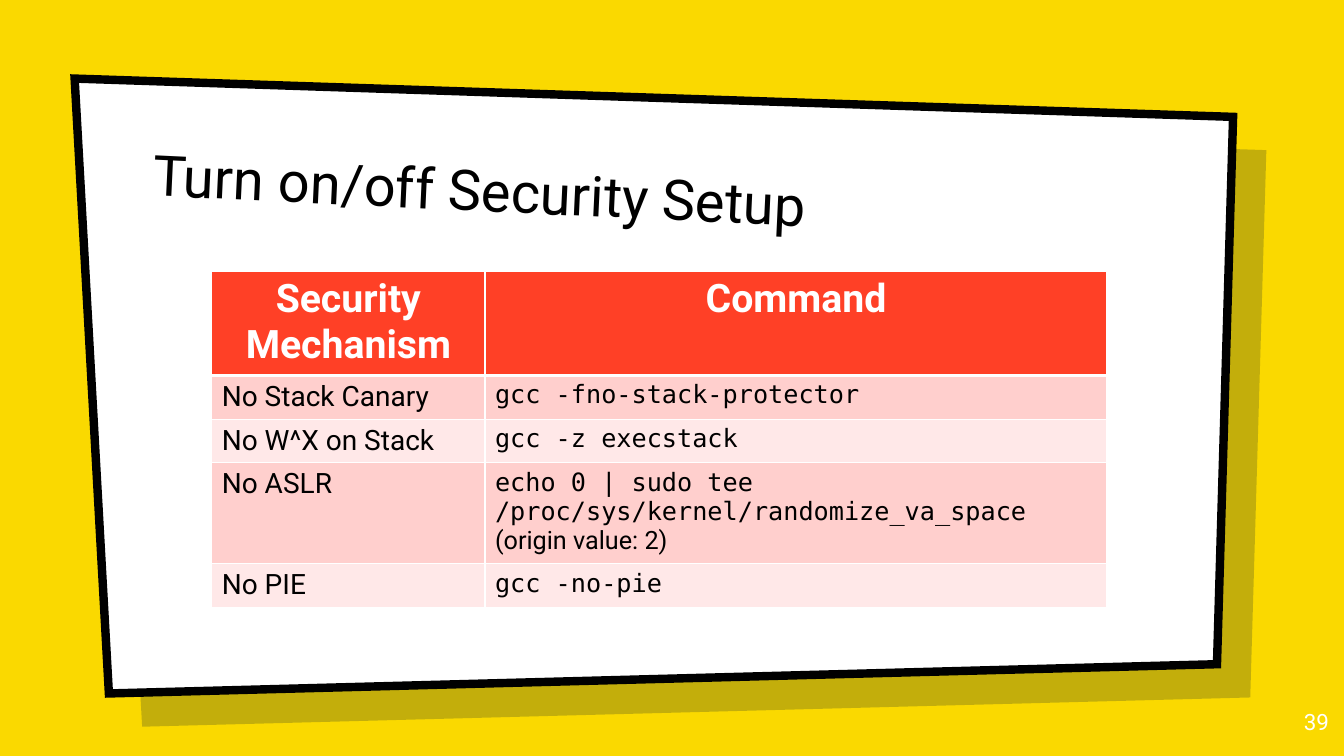
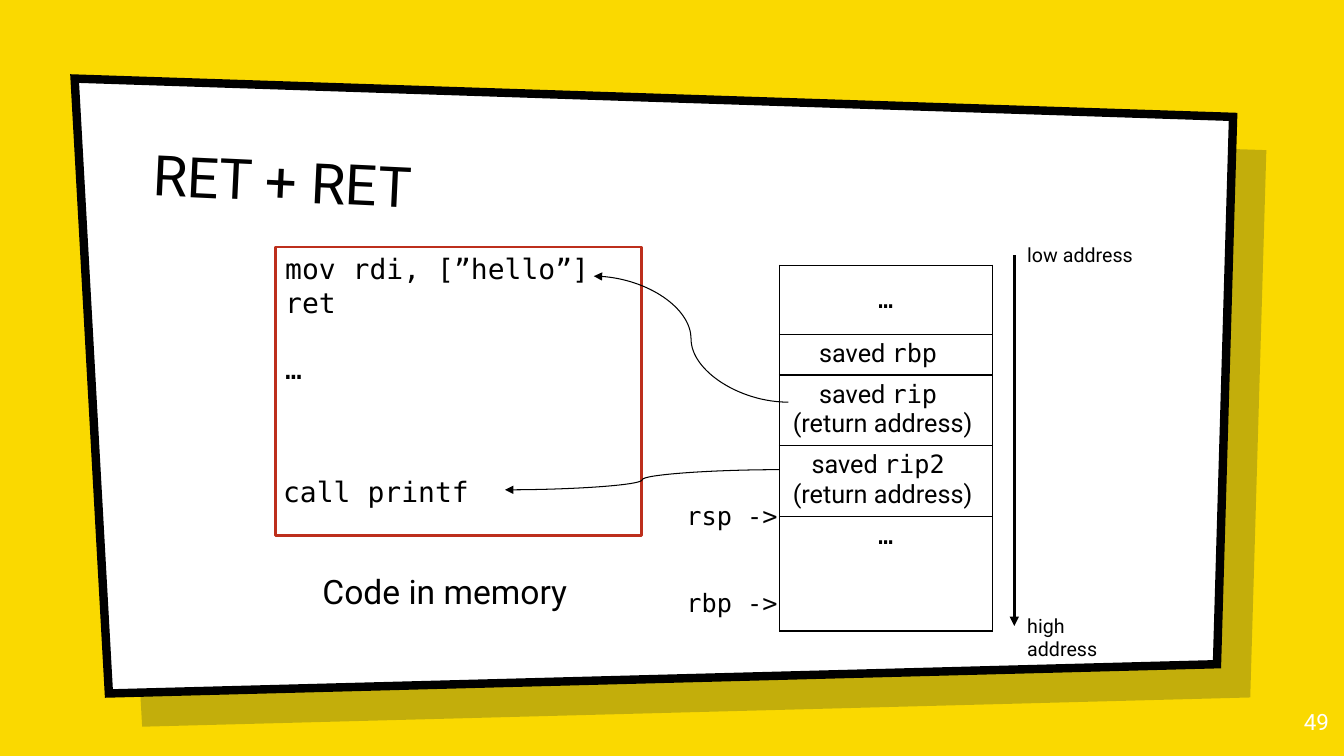
from dataclasses import dataclass

from lxml import etree
from pptx import Presentation
from pptx.dml.color import RGBColor
from pptx.enum.shapes import MSO_CONNECTOR, MSO_SHAPE
from pptx.enum.text import MSO_ANCHOR, PP_ALIGN
from pptx.oxml.ns import qn
from pptx.util import Pt

PX = 9144  # EMU per px, 100 px to the inch
LEFT, CENTER, RIGHT = PP_ALIGN.LEFT, PP_ALIGN.CENTER, PP_ALIGN.RIGHT
TOP, MIDDLE, BOTTOM = MSO_ANCHOR.TOP, MSO_ANCHOR.MIDDLE, MSO_ANCHOR.BOTTOM
STRAIGHT, CURVE = MSO_CONNECTOR.STRAIGHT, MSO_CONNECTOR.CURVE
RECTANGLE = MSO_SHAPE.RECTANGLE


@dataclass(frozen=True)
class Theme:
    sans: str = "Roboto"
    mono: str = "DejaVu Sans Mono"
    yellow: str = "FAD900"
    navy: str = "001936"
    white: str = "FFFFFF"
    black: str = "000000"
    header: str = "FF4026"
    bands: tuple = ("FFCFCD", "FFE8E8")
    frame: str = "BD2F1C"
    title_size: int = 40
    header_size: int = 28
    caption_size: int = 24
    body_size: int = 20
    code_size: int = 18
    number_size: int = 16
    label_size: int = 14


THEME = Theme()
PANEL = ((74, 78), (1223, 116), (1207, 659), (108, 688))
SHADOW_OFFSET = 33


def px(*lengths):
    return [round(length * PX) for length in lengths]


def rgb(color):
    return RGBColor.from_string(color)


def sans(text):
    return [(text, THEME.sans)]


def mono(text):
    return [(text, THEME.mono)]


def write_text(frame, paragraphs, size, color=THEME.black, align=LEFT, bold=False):
    """Fill a text frame; each paragraph is a list of (text, font) runs."""
    for index, runs in enumerate(paragraphs):
        paragraph = frame.add_paragraph() if index else frame.paragraphs[0]
        paragraph.alignment = align
        font = paragraph.font
        font.size, font.bold = Pt(size), bold
        font.color.rgb = rgb(color)
        same_font = len({name for _, name in runs}) == 1
        if same_font:
            font.name = runs[0][1]
        for text, name in runs:
            run = paragraph.add_run()
            run.text = text
            if not same_font:
                run.font.name = name


def add_text(slide, box, paragraphs, size, inset=5, anchor=TOP, **style):
    shape = slide.shapes.add_textbox(*px(*box))
    frame = shape.text_frame
    frame.word_wrap = True
    frame.vertical_anchor = anchor
    frame.margin_top = frame.margin_bottom = inset * PX
    frame.margin_left = frame.margin_right = 10 * PX
    write_text(frame, paragraphs, size, **style)
    return shape


def add_panel(slide, offset, color):
    (start_x, start_y), *corners = [(x + offset, y + offset) for x, y in PANEL]
    builder = slide.shapes.build_freeform(start_x, start_y, scale=PX)
    builder.add_line_segments(corners, close=True)
    shape = builder.convert_to_shape()
    shape.shadow.inherit = False
    shape.fill.solid()
    shape.fill.fore_color.rgb = rgb(color)
    return shape


def add_base_slide(presentation, title, number):
    slide = presentation.slides.add_slide(presentation.slide_layouts[6])
    shade = add_panel(slide, SHADOW_OFFSET, THEME.navy)
    shade.line.fill.background()
    color = shade.fill._xPr.find(".//" + qn("a:srgbClr"))
    etree.SubElement(color, qn("a:alpha"), val="22000")

    panel = add_panel(slide, 0, THEME.white)
    panel.line.color.rgb = rgb(THEME.black)
    panel.line.width = Pt(6)
    etree.SubElement(panel.line._get_or_add_ln(), qn("a:miter"), lim="800000")

    heading = add_text(slide, (142, 128, 1025, 111), [sans(title)],
                       THEME.title_size, inset=10, anchor=BOTTOM)
    heading.rotation = 2.7
    add_text(slide, (1248, 693, 80, 57), [sans(number)], THEME.number_size,
             inset=10, color=THEME.white, align=RIGHT)
    return slide


def add_arrow(slide, kind, start, end, width):
    connector = slide.shapes.add_connector(kind, *px(*start, *end))
    connector.line.color.rgb = rgb(THEME.black)
    connector.line.width = Pt(width)
    etree.SubElement(connector.line._get_or_add_ln(), qn("a:tailEnd"), type="triangle")
    etree.SubElement(connector._element.spPr, qn("a:effectLst"))


def add_grid(slide, origin, widths, heights):
    """Add a table without style banding and return it."""
    size = (sum(widths), sum(heights))
    table = slide.shapes.add_table(len(heights), len(widths), *px(*origin, *size)).table
    table.first_row = table.horz_banding = False
    for column, width in zip(table.columns, widths):
        column.width = width * PX
    for row, height in zip(table.rows, heights):
        row.height = height * PX
    return table


def set_borders(cell, color, top=1, bottom=1):
    """Draw all four borders; must run before the cell's fill is set."""
    properties = cell._tc.get_or_add_tcPr()
    for side, width in (("L", 1), ("R", 1), ("T", top), ("B", bottom)):
        line = etree.SubElement(properties, qn(f"a:ln{side}"), w=str(Pt(width)))
        fill = etree.SubElement(line, qn("a:solidFill"))
        etree.SubElement(fill, qn("a:srgbClr"), val=color)


def add_command_table(slide):
    rows = (
        ("No Stack Canary", [mono("gcc -fno-stack-protector")]),
        ("No W^X on Stack", [mono("gcc -z execstack")]),
        ("No ASLR", [mono("echo 0 | sudo tee /proc/sys/kernel/randomize_va_space"),
                     sans("(origin value: 2)")]),
        ("No PIE", [mono("gcc -no-pie")]),
    )
    table = add_grid(slide, (210, 269), (271, 617), (95, 40, 40, 92, 40))
    for column, text in enumerate(("Security Mechanism", "Command")):
        cell = table.cell(0, column)
        set_borders(cell, THEME.white, bottom=3)
        cell.fill.solid()
        cell.fill.fore_color.rgb = rgb(THEME.header)
        write_text(cell.text_frame, [sans(text)], THEME.header_size,
                   color=THEME.white, align=CENTER, bold=True)
    for index, (mechanism, command) in enumerate(rows):
        contents = (([sans(mechanism)], THEME.body_size), (command, THEME.code_size))
        for column, (paragraphs, size) in enumerate(contents):
            cell = table.cell(index + 1, column)
            set_borders(cell, THEME.white, top=1 if index else 3)
            cell.fill.solid()
            cell.fill.fore_color.rgb = rgb(THEME.bands[index % 2])
            write_text(cell.text_frame, paragraphs, size)


def add_stack_table(slide):
    return_address = sans("(return address) ")
    rows = (
        (69, [mono("…")]),
        (40, [sans("saved ") + mono("rbp ")]),
        (70, [sans("saved ") + mono("rip "), return_address]),
        (70, [sans("saved ") + mono("rip2 "), return_address]),
        (114, [mono("…")]),
    )
    table = add_grid(slide, (773, 263), (211,), [height for height, _ in rows])
    for index, (_, paragraphs) in enumerate(rows):
        cell = table.cell(index, 0)
        cell.margin_left = cell.margin_right = 8 * PX
        cell.vertical_anchor = TOP if index else MIDDLE
        set_borders(cell, THEME.black)
        cell.fill.background()
        write_text(cell.text_frame, paragraphs, THEME.code_size, align=CENTER)


def add_code_memory(slide):
    frame = slide.shapes.add_shape(RECTANGLE, *px(273, 245, 363, 286))
    frame.shadow.inherit = False
    frame.fill.background()
    frame.line.color.rgb = rgb(THEME.frame)
    frame.line.width = Pt(2)
    code = add_text(slide, (273, 245, 340, 145),
                    [mono("mov rdi, [”hello”]"), mono("ret"), mono("…")],
                    THEME.body_size)
    code.text_frame.paragraphs[2].space_before = Pt(23)
    add_text(slide, (271, 466, 220, 44), [mono("call printf")], THEME.body_size)
    add_text(slide, (310, 561, 280, 50), [sans("Code in memory")], THEME.caption_size)


def build_security_slide(presentation):
    slide = add_base_slide(presentation, "Turn on/off Security Setup", "39")
    add_command_table(slide)


def build_return_slide(presentation):
    slide = add_base_slide(presentation, "RET + RET", "49")
    add_code_memory(slide)
    add_stack_table(slide)
    for text, top, width, height in (("low address", 236, 140, 34),
                                     ("high address", 604, 100, 57)):
        add_text(slide, (1009, top, width, height), [sans(text)], THEME.label_size)
    for text, top in (("rsp ->", 491), ("rbp ->", 578)):
        add_text(slide, (671, top, 120, 40), [mono(text)], THEME.code_size)
    add_arrow(slide, STRAIGHT, (1006, 253), (1006, 621), 2.25)
    add_arrow(slide, CURVE, (782, 399), (589, 274), 0.75)
    add_arrow(slide, CURVE, (773, 466), (501, 486), 0.75)


def main():
    presentation = Presentation()
    presentation.slide_width, presentation.slide_height = px(1333, 750)
    background = presentation.slide_master.background.fill
    background.solid()
    background.fore_color.rgb = rgb(THEME.yellow)
    build_security_slide(presentation)
    build_return_slide(presentation)
    presentation.save("out.pptx")


if __name__ == "__main__":
    main()
